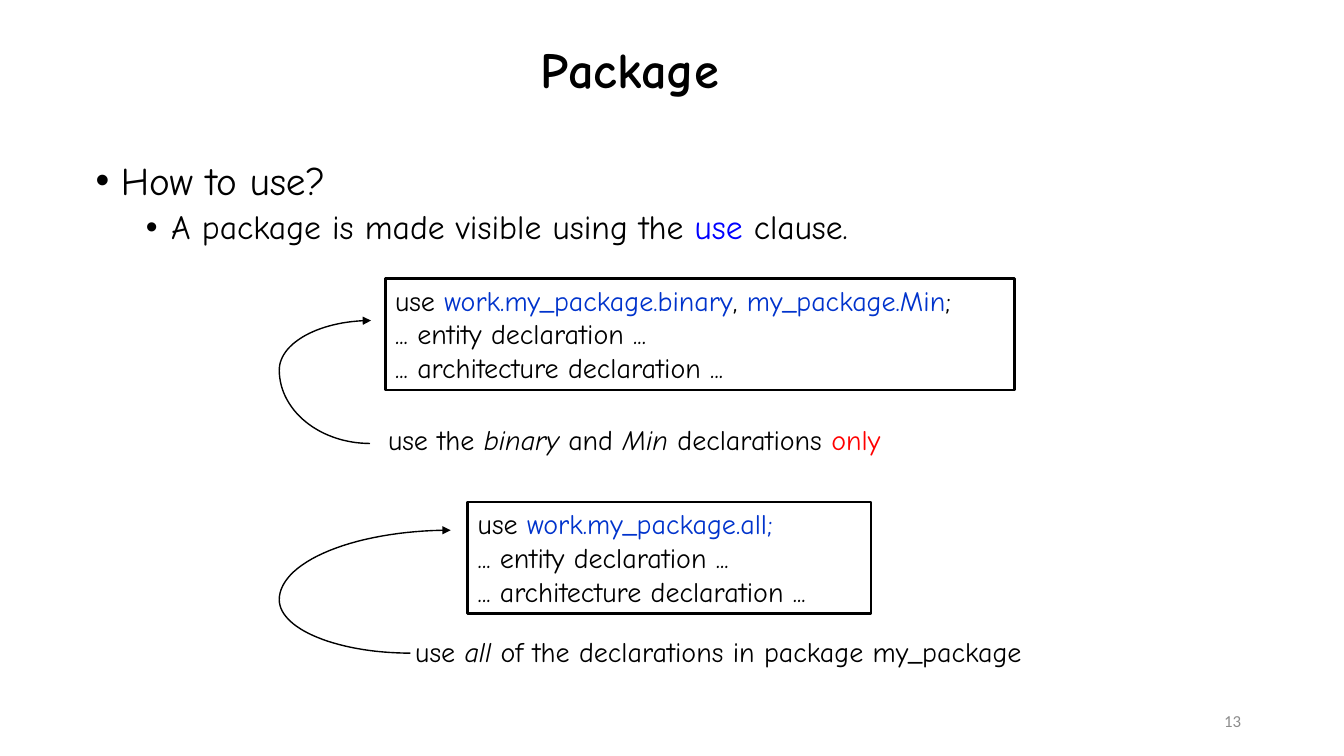
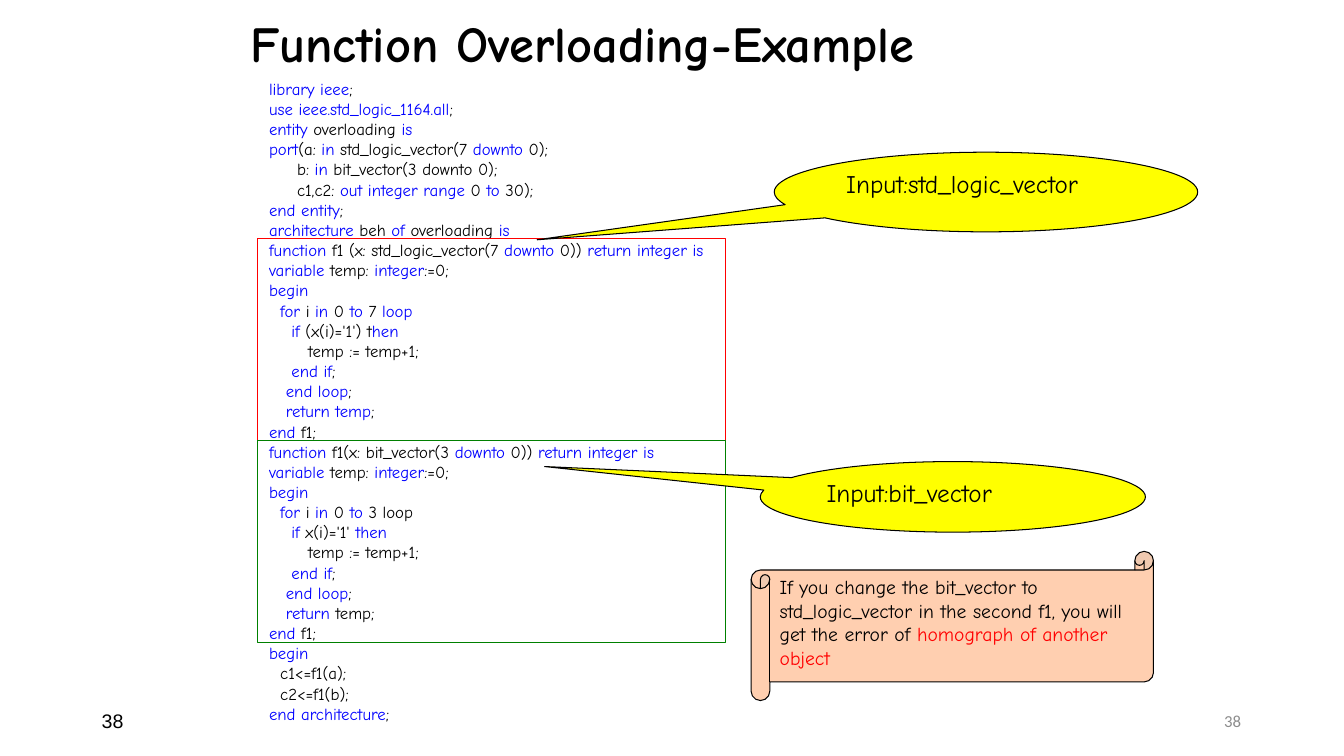
import math

import pptx
import pptx.dml.color
import pptx.enum.shapes
import pptx.enum.text
import pptx.oxml.ns
import pptx.util
from lxml import etree

Inches = pptx.util.Inches
Pt = pptx.util.Pt
RGBColor = pptx.dml.color.RGBColor
Shape = pptx.enum.shapes.MSO_SHAPE
Align = pptx.enum.text.PP_ALIGN
Anchor = pptx.enum.text.MSO_ANCHOR
qn = pptx.oxml.ns.qn

BLACK = RGBColor(0x00, 0x00, 0x00)
BLUE = RGBColor(0x00, 0x00, 0xFF)
NAME_BLUE = RGBColor(0x00, 0x33, 0xCC)
RED = RGBColor(0xFF, 0x00, 0x00)
GREEN = RGBColor(0x00, 0x80, 0x00)
YELLOW = RGBColor(0xFF, 0xFF, 0x00)
ORANGE = RGBColor(0xFF, 0x66, 0x00)
GREY = RGBColor(0x8C, 0x8C, 0x8C)

# Each mark switches a format on and off inside a text.
COLOR_MARKS = {"|": BLUE, "#": NAME_BLUE, "^": RED}
ITALIC_MARK = "~"
TITLE_ONLY = 5
CODE_INDENT = Pt(4)
ARC_STEP = 3


def split_marks(text):
    """Yield (mark, piece) for each stretch of text; mark is "" for plain text."""
    mark, piece = "", ""
    for letter in text:
        if letter in COLOR_MARKS or letter == ITALIC_MARK:
            if piece:
                yield mark, piece
            mark, piece = ("" if letter == mark else letter), ""
        else:
            piece += letter
    if piece:
        yield mark, piece


def write(para, text, size=20, font="Comic Neue", color=BLACK, bold=False,
          align=Align.LEFT, line_spacing=None, space_before=0):
    """Fill one paragraph with marked text."""
    para.alignment = align
    para.space_before = Pt(space_before)
    if line_spacing:
        para.line_spacing = line_spacing
    for mark, piece in split_marks(text):
        span = para.add_run()
        span.text = piece
        span.font.name = font
        span.font.size = Pt(size)
        span.font.bold = bold
        span.font.italic = mark == ITALIC_MARK
        span.font.color.rgb = COLOR_MARKS.get(mark, color)


def indent(para, left, first=0, bullet=None):
    properties = para._p.get_or_add_pPr()
    properties.set("marL", str(int(left)))
    properties.set("indent", str(int(first)))
    if bullet:
        etree.SubElement(properties, qn("a:buFont")).set("typeface", "Arial")
        etree.SubElement(properties, qn("a:buChar")).set("char", bullet)


def paint(shape, fill, opacity, line, line_width):
    shape.shadow.inherit = False
    if fill is None:
        shape.fill.background()
    else:
        shape.fill.solid()
        shape.fill.fore_color.rgb = fill
    if opacity < 100:
        color = shape._element.spPr.find(qn("a:solidFill"))[0]
        etree.SubElement(color, qn("a:alpha")).set("val", str(opacity * 1000))
    shape.line.color.rgb = line
    shape.line.width = Pt(line_width)


class Slides:
    def __init__(self):
        self.deck = pptx.Presentation()
        self.deck.slide_width = Inches(13.33)
        self.deck.slide_height = Inches(7.5)
        self.page = None

    def start(self, title, number, left, top, width, height):
        layout = self.deck.slide_layouts[TITLE_ONLY]
        self.page = self.deck.slides.add_slide(layout)
        box = self.page.shapes.title
        box.left, box.top = Inches(left), Inches(top)
        box.width, box.height = Inches(width), Inches(height)
        self.fill_frame(box, [title], Anchor.MIDDLE, size=36, bold=True,
                        line_spacing=0.9)
        self.text(9.41, 6.95, 3, 0.4, [str(number)], Anchor.MIDDLE, size=12,
                  font="Calibri", color=GREY, align=Align.RIGHT)

    def fill_frame(self, box, lines, anchor=Anchor.TOP, **style):
        frame = box.text_frame
        frame.word_wrap = True
        frame.auto_size = pptx.enum.text.MSO_AUTO_SIZE.NONE
        frame.vertical_anchor = anchor
        for index, line in enumerate(lines):
            para = frame.add_paragraph() if index else frame.paragraphs[0]
            write(para, line, **style)
        return frame

    def text(self, left, top, width, height, lines, anchor=Anchor.TOP, **style):
        box = self.page.shapes.add_textbox(
            Inches(left), Inches(top), Inches(width), Inches(height))
        return self.fill_frame(box, lines, anchor, **style)

    def bullets(self, left, top, width, height, items):
        """Add bulleted text; the place of an item in the list is its level."""
        frame = self.text(left, top, width, height, [])
        for level, item in enumerate(items):
            para = frame.add_paragraph() if level else frame.paragraphs[0]
            write(para, item, size=28 - 4 * level, line_spacing=0.9,
                  space_before=10 - 5 * level)
            indent(para, Inches(0.25 + 0.5 * level), Inches(-0.25), "•")

    def code(self, left, top, width, height, lines):
        """Add a listing; leading spaces of a line become its indent."""
        stripped = [line.lstrip() for line in lines]
        frame = self.text(left, top, width, height, stripped, size=12)
        for para, line, bare in zip(frame.paragraphs, lines, stripped):
            indent(para, CODE_INDENT * (len(line) - len(bare)))

    def shape(self, kind, left, top, width, height, lines=(), fill=None,
              opacity=100, line=BLACK, line_width=0.75, adjust=(), **style):
        shape = self.page.shapes.add_shape(
            kind, Inches(left), Inches(top), Inches(width), Inches(height))
        for index, value in enumerate(adjust):
            shape.adjustments[index] = value
        paint(shape, fill, opacity, line, line_width)
        if lines:
            self.fill_frame(shape, lines, **style)

    def arc(self, center_x, center_y, radius_x, radius_y, start, end):
        """Draw part of an ellipse clockwise; angles in degrees from the right."""
        points = []
        for degrees in range(start, end + 1, ARC_STEP):
            angle = math.radians(degrees)
            points.append((Inches(center_x + radius_x * math.cos(angle)),
                           Inches(center_y + radius_y * math.sin(angle))))
        builder = self.page.shapes.build_freeform(*points[0])
        builder.add_line_segments(points[1:], close=False)
        curve = builder.convert_to_shape()
        paint(curve, None, 100, BLACK, 1)
        return curve

    def loop_arrow(self, left, middle, upper, lower):
        """Bend from the lower right round the left to an arrowhead above.

        upper and lower are the (horizontal, vertical) radii of the two halves.
        """
        head = self.arc(left + upper[0], middle, *upper, 180, 270)
        outline = head.line._get_or_add_ln()
        etree.SubElement(outline, qn("a:tailEnd")).set("type", "triangle")
        self.arc(left + lower[0], middle, *lower, 90, 180)

    def usage(self, left, top, width, clause):
        lines = [clause, "... entity declaration ...",
                 "... architecture declaration ..."]
        self.shape(Shape.RECTANGLE, left, top, width, 1.11, lines, line_width=2)

    def callout(self, left, top, width, height, label, tip):
        self.shape(Shape.OVAL_CALLOUT, left, top, width, height, [label],
                   fill=YELLOW, adjust=tip, size=18)


def function_lines(signature, loop_end, condition, result):
    return [
        f"|function| {signature} |return integer is|",
        "|variable| temp: |integer|:=0;",
        "|begin|",
        f"  |for |i |in| 0 |to| {loop_end}",
        f"    |if| {condition}",
        "       temp := temp+1;",
        "    |end if|;",
        "   |end loop|;",
        f"   {result};",
        "|end| f1;",
    ]


def package_slide(slides):
    slides.start("Package", 13, 5.26, -0.01, 11.5, 1.45)
    slides.bullets(0.85, 1.55, 11.5, 4.76, [
        "How to use?",
        "A package is made visible using the |use| clause."])

    slides.text(3.75, 4.14, 5.45, 0.43,
                ["use the ~binary~ and ~Min ~declarations ^only^"])
    slides.usage(3.82, 2.76, 6.24,
                 "use #work.my_package.binary#, #my_package.Min#;")
    slides.loop_arrow(2.77, 3.67, upper=(0.91, 0.49), lower=(0.9, 0.73))

    slides.text(4.02, 6.25, 6.7, 0.43,
                ["use ~all~ of the declarations in package my_package"])
    slides.usage(4.64, 4.98, 4, "use #work.my_package.all;#")
    slides.loop_arrow(2.77, 5.95, upper=(1.7, 0.69), lower=(1.3, 0.53))


def overloading_slide(slides):
    slides.start("Function Overloading-Example", 38, 2.38, 0.07, 9.03, 0.77)
    slides.text(0.91, 6.95, 3, 0.4, ["38"], Anchor.MIDDLE, size=14, font="Arial")
    slides.code(2.57, 0.73, 8.66, 6.76, [
        "|library ieee|;",
        "|use ieee.std_logic_1164.all|;",
        "|entity| overloading |is|",
        "|port|(a: |in |std_logic_vector(7 |downto |0);",
        "     b: |in |bit_vector(3 downto 0);",
        "     c1,c2: |out integer range| 0 |to| 30);",
        "|end entity|;",
        "|architecture |beh |of| overloading |is|",
        *function_lines("f1 (x: std_logic_vector(7 |downto |0))", "7 |loop|",
                        "(x(i)='1') t|hen|", "|return temp|"),
        *function_lines("f1(x: bit_vector(3 |downto |0))", "3 loop",
                        "x(i)='1' |then|", "|return| temp"),
        "|begin|",
        "  c1<=f1(a);",
        "  c2<=f1(b);",
        "|end architecture|;",
    ])
    for index, color in enumerate((RED, GREEN)):
        slides.shape(Shape.RECTANGLE, 2.55, 2.37 + 2 * index, 4.65, 2, line=color)
    slides.callout(7.68, 1.51, 4.2, 0.79, "Input:std_logic_vector", (-1.06, 0.6))
    slides.callout(7.54, 4.58, 3.82, 0.7, "Input:bit_vector", (-1.06, -0.43))
    slides.shape(
        Shape.HORIZONTAL_SCROLL, 7.45, 5.47, 3.99, 1.48,
        ["If you change the bit_vector to std_logic_vector in the second f1, "
         "you will get the error of ^homograph of another object^"],
        fill=ORANGE, opacity=31, size=14)


def main():
    slides = Slides()
    package_slide(slides)
    overloading_slide(slides)
    slides.deck.save("out.pptx")


if __name__ == "__main__":
    main()
